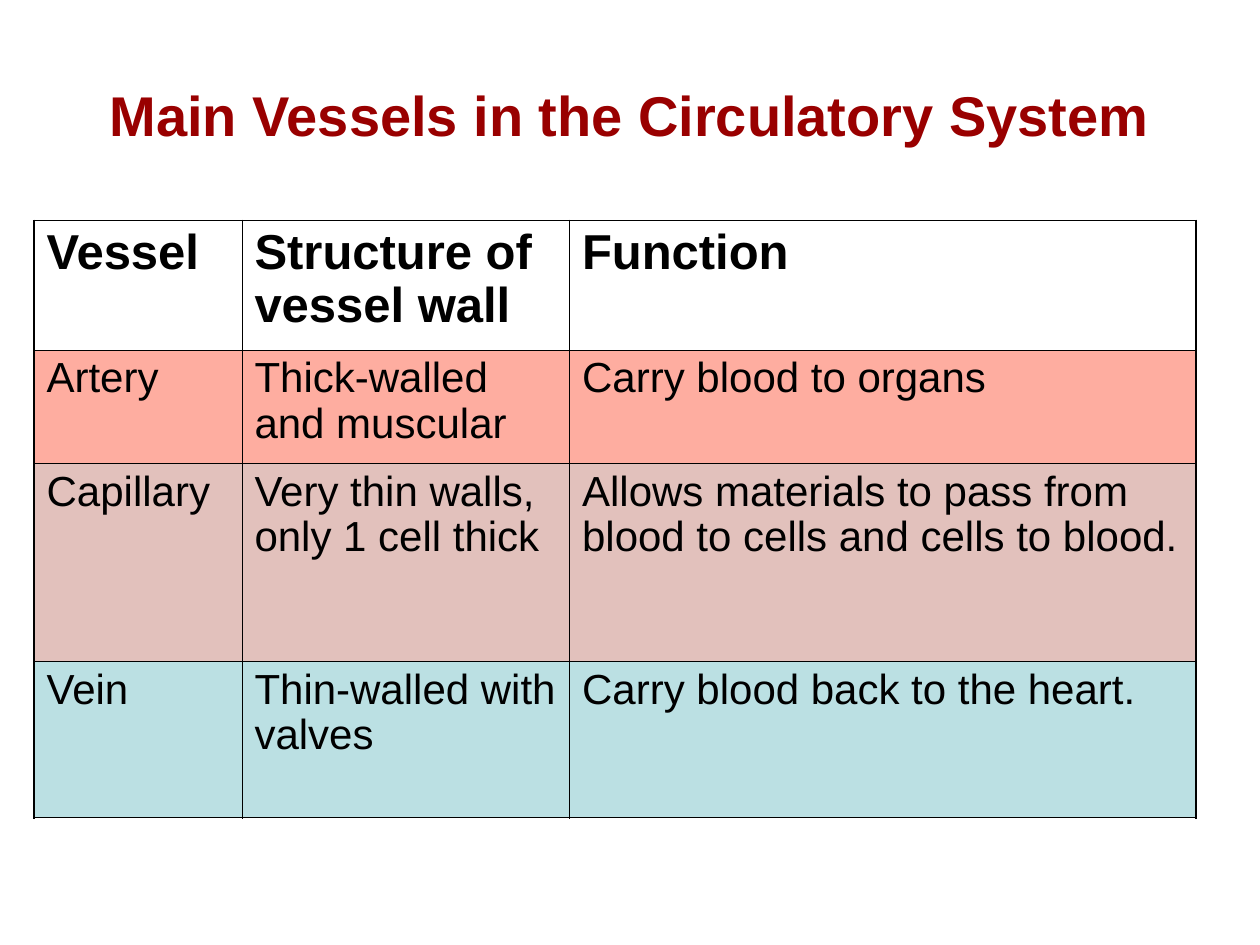
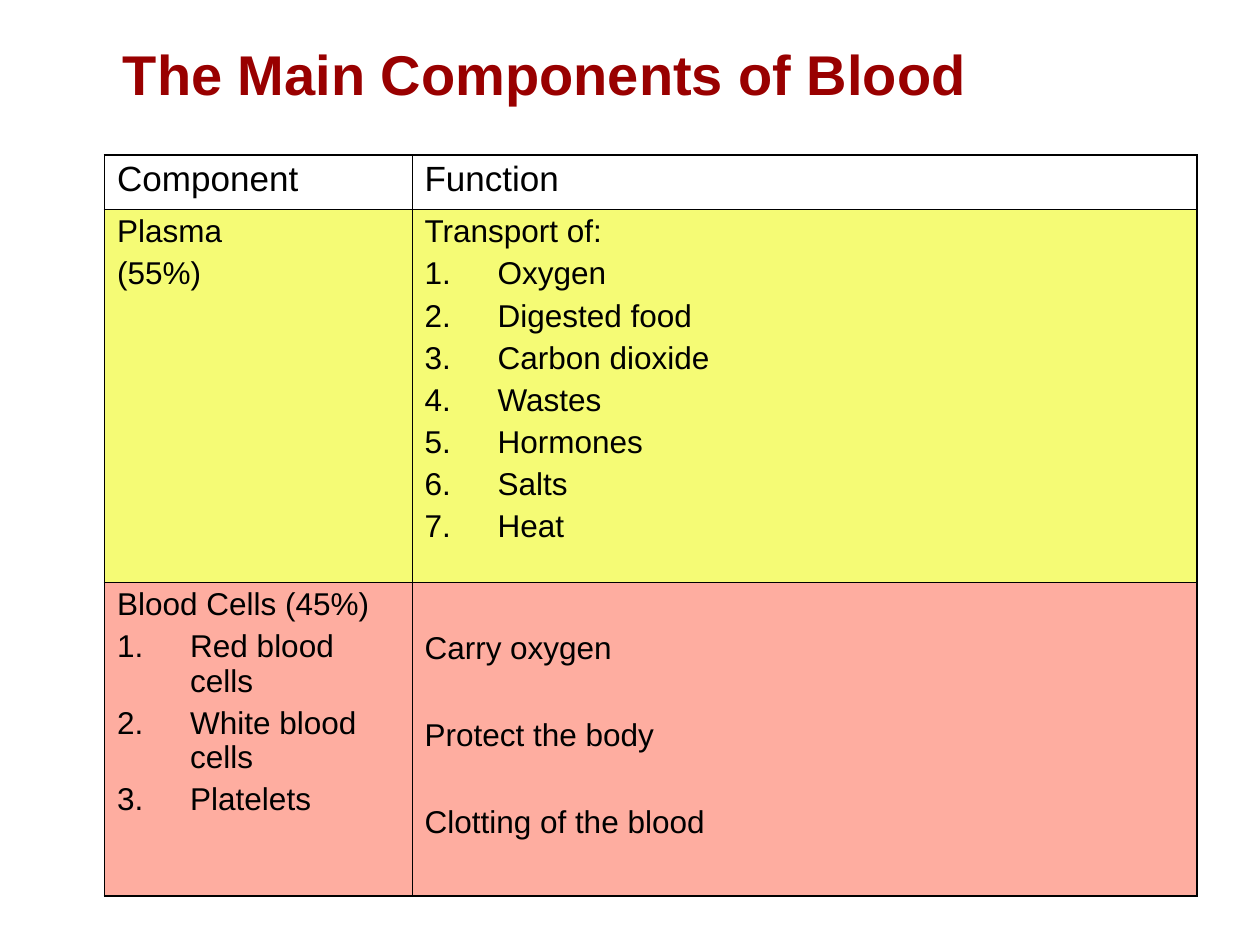
from dataclasses import dataclass

from lxml.etree import SubElement
from pptx import Presentation
from pptx.dml.color import RGBColor as Rgb
from pptx.enum.text import MSO_ANCHOR as Anchor, PP_ALIGN as Align
from pptx.oxml.ns import qn
from pptx.util import Inches, Pt


@dataclass(frozen=True)
class Theme:
    font: str = "Arial"
    title: str = "990000"
    ink: str = "000000"
    paper: str = "FFFFFF"
    arterial: str = "FEADA0"
    capillary: str = "E2C1BC"
    venous: str = "BBE0E3"
    plasma: str = "F5FB75"
    title_size: float = 32
    line_spacing: float = 0.97
    outer_border: float = 1.08
    inner_border: float = 0.45
    list_indent: float = 0.58


@dataclass(frozen=True)
class Entry:
    lines: tuple
    numbered: bool = False
    gap: float = 4.5
    top: float = 0.05


@dataclass(frozen=True)
class Band:
    height: float
    fill: str
    size: float
    entries: tuple
    bold: bool = False


THEME = Theme()


def style_paragraph(paragraph, size, color, bold=False):
    paragraph.line_spacing = THEME.line_spacing
    for run in paragraph.runs:
        run.font.name = THEME.font
        run.font.size = Pt(size)
        run.font.bold = bold
        run.font.color.rgb = Rgb.from_string(color)


def add_title(slide, heading, left, top, width, height):
    title = slide.shapes.add_textbox(*map(Inches, (left, top, width, height)))
    frame = title.text_frame
    frame.word_wrap = True
    frame.vertical_anchor = Anchor.MIDDLE
    frame.text = heading
    frame.paragraphs[0].alignment = Align.CENTER
    style_paragraph(frame.paragraphs[0], THEME.title_size, THEME.title, True)


def add_solid_fill(parent, color):
    SubElement(SubElement(parent, qn("a:solidFill")), qn("a:srgbClr"), val=color)


def number_paragraph(paragraph):
    indent = Inches(THEME.list_indent)
    properties = paragraph._p.get_or_add_pPr()
    properties.set("marL", str(indent))
    properties.set("indent", str(-indent))
    bullet_color = SubElement(properties, qn("a:buClr"))
    SubElement(bullet_color, qn("a:srgbClr"), val=THEME.ink)
    SubElement(properties, qn("a:buAutoNum"), type="arabicPeriod")


def add_borders(cell, outer_sides):
    properties = cell._tc.get_or_add_tcPr()
    for side in "LRTB":
        weight = THEME.outer_border if side in outer_sides else THEME.inner_border
        border = SubElement(properties, qn(f"a:ln{side}"), w=str(Pt(weight)))
        add_solid_fill(border, THEME.ink)


def fill_cell(cell, entry, band):
    cell.fill.solid()
    cell.fill.fore_color.rgb = Rgb.from_string(band.fill)
    cell.margin_left = cell.margin_right = Inches(0.1)
    cell.margin_top, cell.margin_bottom = Inches(entry.top), Inches(0.05)
    cell.text_frame.text = "\n".join(entry.lines)
    for position, paragraph in enumerate(cell.text_frame.paragraphs):
        if position:
            paragraph.space_before = Pt(entry.gap)
            if entry.numbered:
                number_paragraph(paragraph)
        style_paragraph(paragraph, band.size, THEME.ink, band.bold)


def add_banded_table(slide, left, top, widths, bands):
    height = sum(band.height for band in bands)
    table = slide.shapes.add_table(
        len(bands), len(widths), Inches(left), Inches(top),
        Inches(sum(widths)), Inches(height)).table
    table.first_row = table.horz_banding = False
    for column, width in zip(table.columns, widths):
        column.width = Inches(width)
    for r, band in enumerate(bands):
        table.rows[r].height = Inches(band.height)
        for c, entry in enumerate(band.entries):
            edges = {"L": c == 0, "R": c == len(widths) - 1,
                     "T": r == 0, "B": r == len(bands) - 1}
            cell = table.cell(r, c)
            add_borders(cell, [side for side, outer in edges.items() if outer])
            fill_cell(cell, entry, band)


def entries(*texts):
    return tuple(Entry((text,)) for text in texts)


def build_vessels(slide):
    add_title(slide, "Main Vessels in the Circulatory System", 0.5, 0.3, 9, 1.25)
    add_banded_table(slide, 0.27, 1.75, (1.65, 2.6, 4.97), (
        Band(1.03, THEME.paper, 28,
             entries("Vessel", "Structure of vessel wall", "Function"), bold=True),
        Band(0.9, THEME.arterial, 24,
             entries("Artery", "Thick-walled and muscular", "Carry blood to organs")),
        Band(1.57, THEME.capillary, 24,
             entries("Capillary", "Very thin walls, only 1 cell thick",
                     "Allows materials to pass from blood to cells and cells to blood.")),
        Band(1.24, THEME.venous, 24,
             entries("Vein", "Thin-walled with valves", "Carry blood back to the heart.")),
    ))


def build_blood(slide):
    add_title(slide, "The Main Components of Blood", 0.5, 0.3, 7.65, 0.61)
    transported = Entry(("Transport of:", "Oxygen", "Digested food", "Carbon dioxide",
                         "Wastes", "Hormones", "Salts", "Heat"), numbered=True)
    blood_cells = Entry(("Blood Cells (45%)", "Red blood cells", "White blood cells",
                         "Platelets"), numbered=True)
    cell_roles = Entry(("Carry oxygen", "Protect the body", "Clotting of the blood"),
                       gap=30, top=0.4)
    add_banded_table(slide, 0.83, 1.23, (2.44, 6.23), (
        Band(0.43, THEME.paper, 20, entries("Component", "Function")),
        Band(2.96, THEME.plasma, 18, (Entry(("Plasma", "(55%)")), transported)),
        Band(2.49, THEME.arterial, 18, (blood_cells, cell_roles)),
    ))


def main():
    deck = Presentation()
    deck.slide_width, deck.slide_height = Inches(10), Inches(7.5)
    for build in (build_vessels, build_blood):
        build(deck.slides.add_slide(deck.slide_layouts[6]))
    deck.save("out.pptx")


if __name__ == "__main__":
    main()
